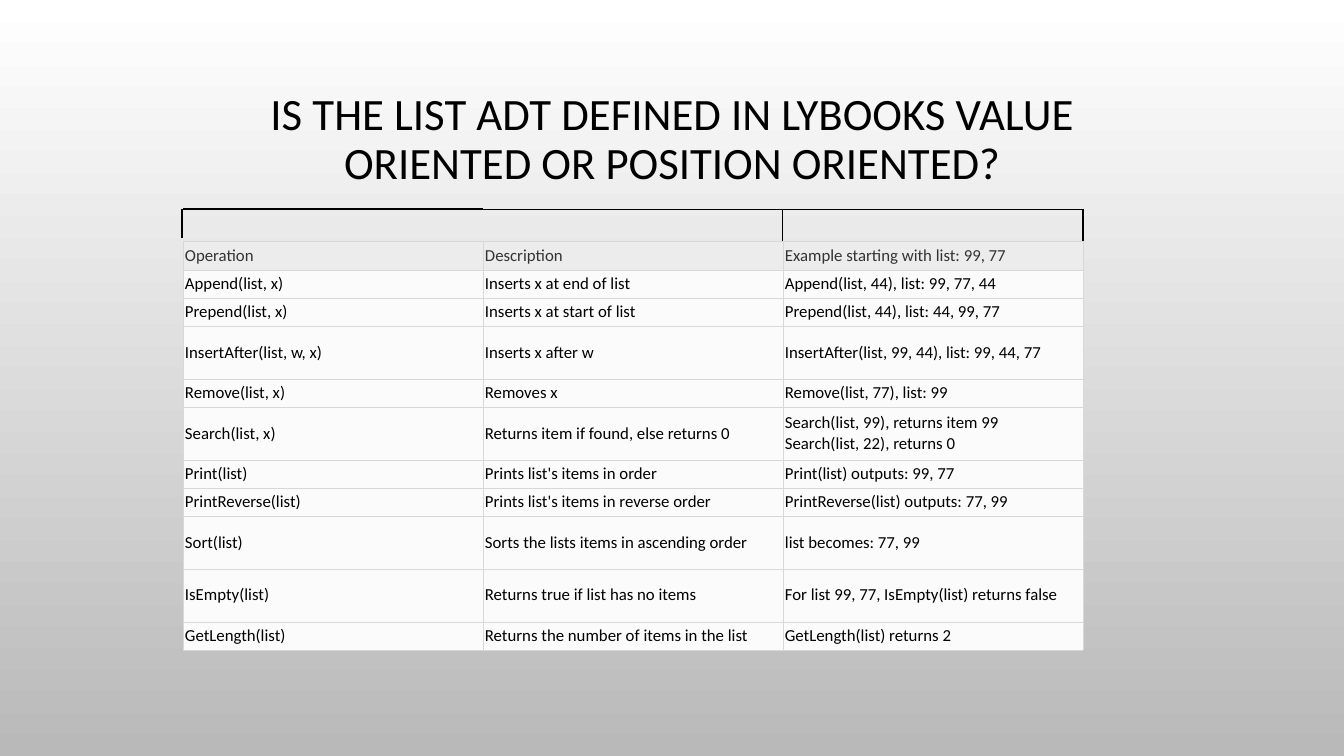
from lxml.etree import SubElement
from pptx import Presentation
from pptx.dml.color import RGBColor
from pptx.enum.shapes import MSO_CONNECTOR
from pptx.enum.text import MSO_ANCHOR, PP_ALIGN
from pptx.oxml import parse_xml
from pptx.oxml.ns import nsdecls, qn
from pptx.util import Emu, Pt

EMU_PER_PX = 12192000 / 1344
FONT = "Calibri"
BLACK, GRID = "000000", "D8D8D8"
COLUMN_WIDTH = 300
TOP_ROW, LABELS, SHORT, TALL = 32, 29, 28, 53
CELL_INSET = 2
TITLE = "IS THE LIST ADT DEFINED IN LYBOOKS VALUE ORIENTED OR POSITION ORIENTED?"
OPERATIONS = [
    (LABELS, "Operation", "Description", "Example starting with list: 99, 77"),
    (SHORT, "Append(list, x)", "Inserts x at end of list", "Append(list, 44), list: 99, 77, 44"),
    (SHORT, "Prepend(list, x)", "Inserts x at start of list", "Prepend(list, 44), list: 44, 99, 77"),
    (TALL, "InsertAfter(list, w, x)", "Inserts x after w", "InsertAfter(list, 99, 44), list: 99, 44, 77"),
    (SHORT, "Remove(list, x)", "Removes x", "Remove(list, 77), list: 99"),
    (TALL, "Search(list, x)", "Returns item if found, else returns 0",
     "Search(list, 99), returns item 99\vSearch(list, 22), returns 0"),
    (SHORT, "Print(list)", "Prints list's items in order", "Print(list) outputs: 99, 77"),
    (SHORT, "PrintReverse(list)", "Prints list's items in reverse order", "PrintReverse(list) outputs: 77, 99"),
    (TALL, "Sort(list)", "Sorts the lists items in ascending order", "list becomes: 77, 99"),
    (TALL, "IsEmpty(list)", "Returns true if list has no items", "For list 99, 77, IsEmpty(list) returns false"),
    (SHORT, "GetLength(list)", "Returns the number of items in the list", "GetLength(list) returns 2"),
]


def px(length):
    """Turn a length in px into EMU."""
    return Emu(round(length * EMU_PER_PX))


def rgb(code):
    """Turn a hex string into a colour."""
    return RGBColor.from_string(code)


def apply(target, values):
    """Set every attribute named in a dict of format values."""
    for name, value in values.items():
        setattr(target, name, value)


def style_runs(paragraph, size, colour):
    """Give each run of a paragraph its font, size and colour."""
    for run in paragraph.runs:
        apply(run.font, {"name": FONT, "size": Pt(size)})
        run.font.color.rgb = rgb(colour)


def paint_background(slide, top, bottom):
    """Fill the slide with a gradient that runs from top to bottom."""
    fill = slide.background.fill
    fill.gradient()
    fill.gradient_angle = 270
    for stop, position, colour in zip(fill.gradient_stops, (0, 1), (top, bottom)):
        stop.position = position
        stop.color.rgb = rgb(colour)


def add_title(slide, text, left, top, width, height):
    """Add the centred slide title."""
    frame = slide.shapes.add_textbox(px(left), px(top), px(width), px(height)).text_frame
    apply(frame, {"word_wrap": True, "vertical_anchor": MSO_ANCHOR.MIDDLE, "text": text})
    heading = frame.paragraphs[0]
    apply(heading, {"alignment": PP_ALIGN.CENTER, "line_spacing": 0.9})
    style_runs(heading, 32, BLACK)


def set_borders(cell, borders):
    """Draw the sides given as (colour, points) and clear the others."""
    properties = cell._tc.get_or_add_tcPr()
    for index, side in enumerate("LRTB"):
        colour, points = borders.get(side, (None, 0))
        paint = f'<a:solidFill><a:srgbClr val="{colour}"/></a:solidFill>' if colour else "<a:noFill/>"
        properties.insert(index, parse_xml(
            f'<a:ln{side} {nsdecls("a")} w="{Pt(points)}">{paint}</a:ln{side}>'))


def format_cell(cell, text, colour, fill, borders):
    """Write one table cell with its fill and borders."""
    inset = px(CELL_INSET)
    apply(cell, {"text": text, "vertical_anchor": MSO_ANCHOR.MIDDLE, "margin_left": inset,
                 "margin_right": inset, "margin_top": inset, "margin_bottom": inset})
    paragraph = cell.text_frame.paragraphs[0]
    style_runs(paragraph, 12, colour)
    if not text:
        SubElement(paragraph._p, qn("a:endParaRPr")).set("sz", "1200")
    if fill:
        cell.fill.solid()
        cell.fill.fore_color.rgb = rgb(fill)
    else:
        cell.fill.background()
    set_borders(cell, borders)


def add_operations_table(slide, left, top):
    """Add the table of list operations below an empty top row."""
    heights = [TOP_ROW] + [row[0] for row in OPERATIONS]
    table = slide.shapes.add_table(len(heights), 3, px(left), px(top),
                                   px(3 * COLUMN_WIDTH), px(sum(heights))).table
    apply(table, {"first_row": False, "horz_banding": False})
    for column in table.columns:
        column.width = px(COLUMN_WIDTH)
    for row, height in zip(table.rows, heights):
        row.height = px(height)
    edge = (BLACK, 0.75)
    open_borders = [{}, {"R": edge}, {"L": edge, "R": (BLACK, 1.5)}]
    for cell, borders in zip(table.rows[0].cells, open_borders):
        format_cell(cell, "", BLACK, None, {**borders, "T": edge, "B": (GRID, 0.38)})
    grid = dict.fromkeys("LRTB", (GRID, 0.38))
    for index, (_, *texts) in enumerate(OPERATIONS, start=1):
        colour, fill = ("333333", "ECECEC") if index == 1 else (BLACK, "FBFBFB")
        for cell, text in zip(table.rows[index].cells, texts):
            format_cell(cell, text, colour, fill, grid)


def add_rule(slide, start, end, points):
    """Add a straight black line without a shadow."""
    rule = slide.shapes.add_connector(MSO_CONNECTOR.STRAIGHT, *map(px, start + end))
    rule.line.color.rgb = rgb(BLACK)
    rule.line.width = Pt(points)
    SubElement(rule._element.spPr, qn("a:effectLst"))


def main():
    """Build the slide and save it."""
    presentation = Presentation()
    apply(presentation, {"slide_width": px(1344), "slide_height": px(756)})
    slide = presentation.slides.add_slide(presentation.slide_layouts[6])
    paint_background(slide, "FFFFFF", "B9B9B9")
    add_title(slide, TITLE, 169, 52, 1007, 177)
    add_operations_table(slide, 183, 209)
    add_rule(slide, (483, 209), (183, 209), 1.25)
    add_rule(slide, (182, 209), (182, 238), 1.5)
    presentation.save("out.pptx")


if __name__ == "__main__":
    main()
